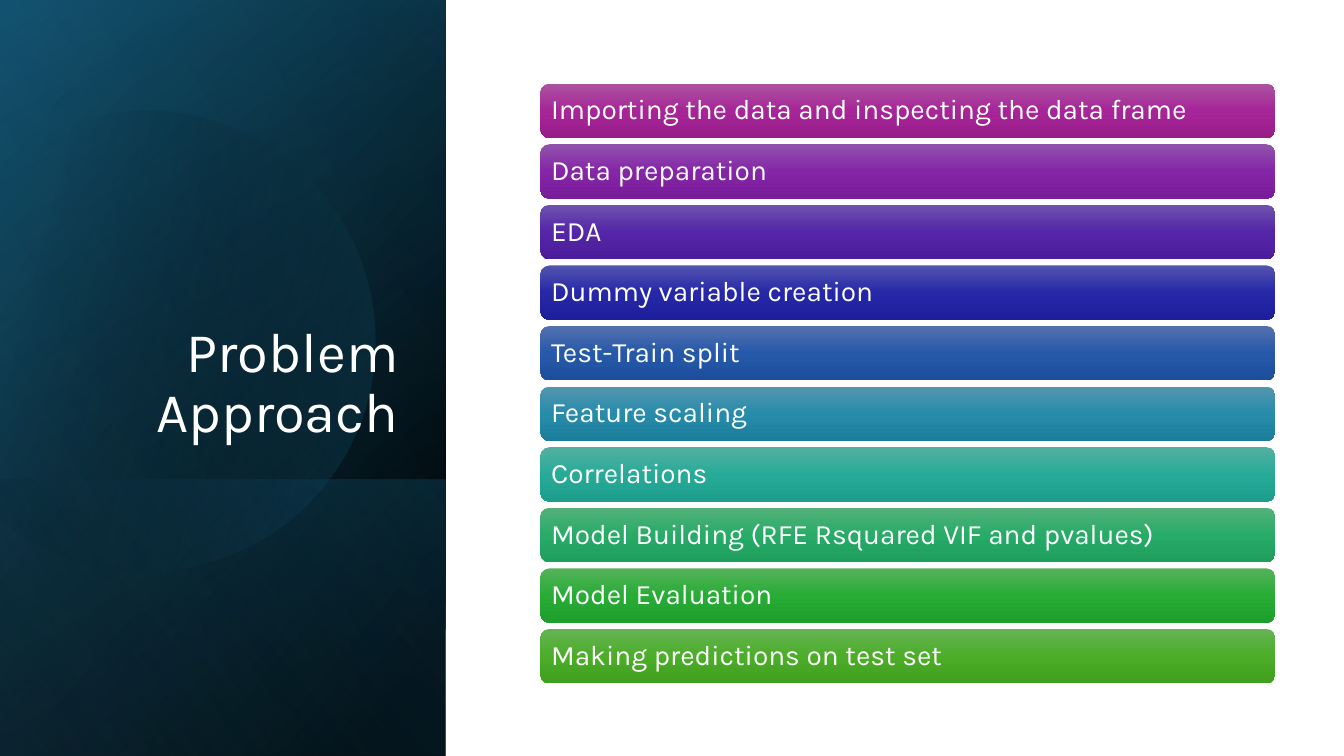
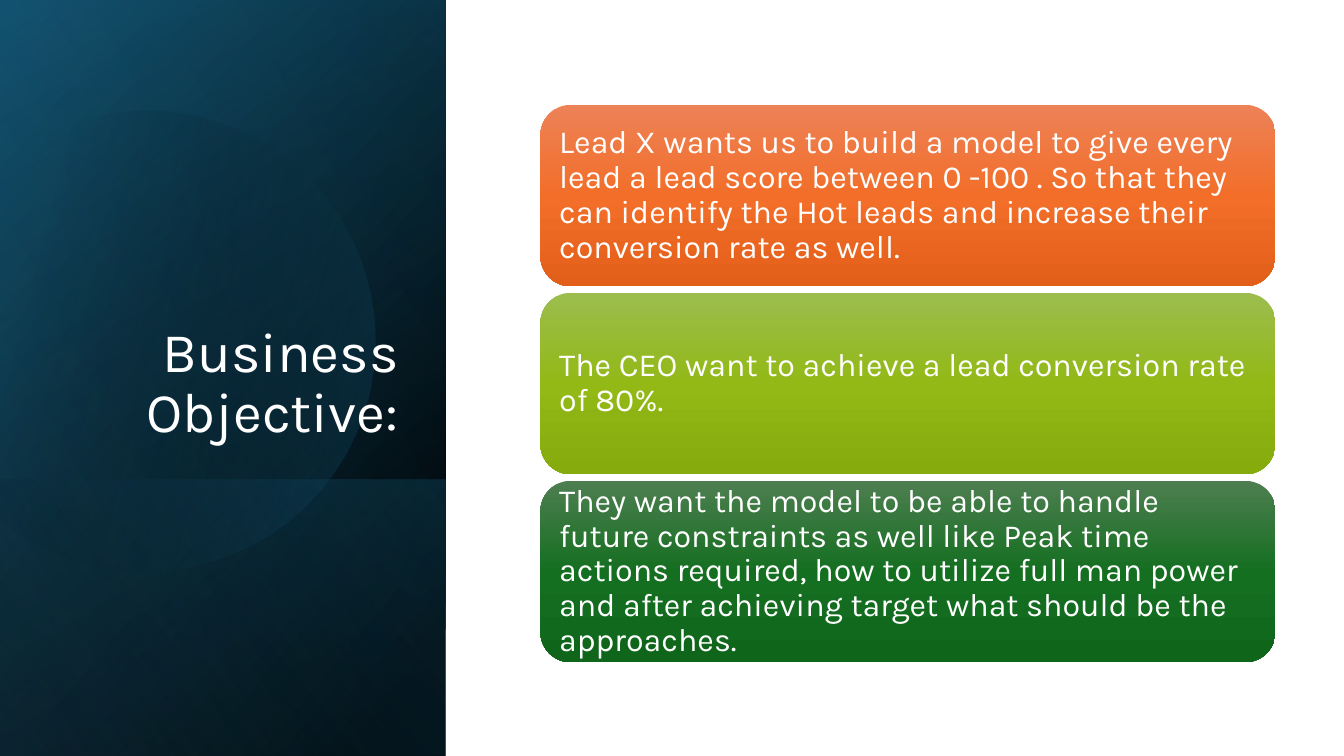
import math

from pptx import Presentation
from pptx import util as u
from pptx.dml.color import RGBColor
from pptx.enum import shapes, text
from pptx.oxml import ns, parse_xml

FONT = "Karla"
WHITE = "FFFFFF"

# Side panel layers: box, gradient stops (position, colour, opacity), angle
PANEL = (-1.54, 1.54, 7.5, 4.42)
LOWER_PANEL = (0.84, 3.92, 2.74, 4.42)
BACK_LAYERS = [
    (PANEL, [(8, "000000", 100), (100, "104862", 100)], 50),
    (PANEL, [(0, "000000", 0), (99, "156082", 46)], 30),
    (LOWER_PANEL, [(2, "156082", 29), (100, "000000", 30)], 130),
]
FRONT_LAYER = (PANEL, [(0, "000000", 0), (99, "46B1E1", 11)], 120)

# Cut disc as Bezier segments; a straight edge has a single end point
DISC_START = (1.49, 1.1)
DISC_SEGMENTS = [
    [(2.46, 1.12), (3.35, 1.77), (3.63, 2.75)],
    [(3.98, 3.97), (3.28, 5.23), (2.07, 5.58)],
    [(1.31, 5.8), (0.53, 5.61), (-0.03, 5.14)],
    [(-0.15, 5.03)],
    [(-0.15, 1.75)],
    [(0, 1.61)],
    [(0.23, 1.42), (0.5, 1.28), (0.8, 1.19)],
    [(1.03, 1.13), (1.26, 1.1), (1.49, 1.1)],
]
DISC_CENTER = (1.59, 3.35)
DISC_ROTATION = 343.9
DISC_STOPS = [(29, "000000", 0), (100, "156082", 43)]

# Cards: text, then top, middle and bottom colours
APPROACH_STEPS = [
    ("Importing the data and inspecting the data frame", "AC53A0", "A62598", "991C8B"),
    ("Data preparation", "9153AD", "8525A7", "781C99"),
    ("EDA", "6D53AE", "5526A7", "4A1C9A"),
    ("Dummy variable creation", "5354AE", "2628A8", "1D1E9B"),
    ("Test-Train split", "5370AF", "2659A9", "1D4E9C"),
    ("Feature scaling", "5396B0", "278BAA", "1D7E9C"),
    ("Correlations", "53B0A1", "27AB98", "1D9D8B"),
    ("Model Building (RFE Rsquared VIF and pvalues)", "54B17A", "27AB67", "1E9E5C"),
    ("Model Evaluation", "54B25A", "28AC36", "1E9E2C"),
    ("Making predictions on test set", "66B354", "4BAD28", "409F1E"),
]
OBJECTIVES = [
    ("Lead X wants us to build a model to give every lead a lead score between "
     "0 -100 . So that they can identify the Hot leads and increase their "
     "conversion rate as well.", "ED8257", "F26E29", "E25F1A"),
    ("The CEO want to achieve a lead conversion rate of 80%.",
     "9CBD4E", "92B916", "85AB0D"),
    ("They want the model to be able to handle future constraints as well like "
     "Peak time actions required, how to utilize full man power and after "
     "achieving target what should be the approaches.",
     "4D7E50", "156F21", "0F661B"),
]


def color(hex_value):
    return RGBColor.from_string(hex_value)


def set_all(target, values):
    for name, value in values.items():
        setattr(target, name, value)


def bezier(start, segment, steps=16):
    """Points along one segment, without its start."""
    if len(segment) == 1:
        return segment
    controls = [start, *segment]
    return [
        tuple(
            sum(math.comb(3, i) * (1 - t) ** (3 - i) * t ** i * point[axis]
                for i, point in enumerate(controls))
            for axis in (0, 1)
        )
        for t in (step / steps for step in range(1, steps + 1))
    ]


def rotate(point, center, degrees):
    cos, sin = math.cos(math.radians(degrees)), math.sin(math.radians(degrees))
    x, y = point[0] - center[0], point[1] - center[1]
    return center[0] + x * cos - y * sin, center[1] + x * sin + y * cos


class Deck:
    def __init__(self):
        self.presentation = Presentation()
        set_all(self.presentation, {"slide_width": u.Inches(13.33),
                                    "slide_height": u.Inches(7.5)})
        self.slide = None

    def new_slide(self, title):
        self.slide = self.presentation.slides.add_slide(
            self.presentation.slide_layouts[6])
        background = self.slide.background.fill
        background.solid()
        background.fore_color.rgb = color(WHITE)
        for layer in BACK_LAYERS:
            self.panel_layer(*layer)
        self.disc()
        self.panel_layer(*FRONT_LAYER)
        self.title(title)

    def paint(self, shape, stops, angle):
        """Gradient with opacity, no line and no shadow."""
        shape.shadow.inherit = False
        shape.line.fill.background()
        shape.fill.gradient()
        stop_xml = "".join(
            f'<a:gs pos="{position * 1000}"><a:srgbClr val="{color(hex_value)}">'
            f'<a:alpha val="{opacity * 1000}"/></a:srgbClr></a:gs>'
            for position, hex_value, opacity in stops)
        gradient = parse_xml(
            f'<a:gradFill {ns.nsdecls("a")} rotWithShape="1">'
            f'<a:gsLst>{stop_xml}</a:gsLst>'
            f'<a:lin ang="{angle * 60000}" scaled="0"/></a:gradFill>')
        properties = shape.element.spPr
        properties.replace(properties.find(ns.qn("a:gradFill")), gradient)

    def panel_layer(self, box, stops, angle):
        shape = self.slide.shapes.add_shape(
            shapes.MSO_SHAPE.RECTANGLE, *map(u.Inches, box))
        shape.rotation = 90
        shape.element.spPr.find(ns.qn("a:xfrm")).set("flipH", "1")
        self.paint(shape, stops, angle)

    def disc(self):
        points = [DISC_START]
        for segment in DISC_SEGMENTS:
            points += bezier(points[-1], segment)
        # Undo the rotation that the shape itself carries
        upright = [tuple(map(u.Inches, rotate(point, DISC_CENTER, -DISC_ROTATION)))
                   for point in points]
        builder = self.slide.shapes.build_freeform(*upright[0])
        builder.add_line_segments(upright[1:], close=True)
        shape = builder.convert_to_shape()
        shape.rotation = DISC_ROTATION
        self.paint(shape, DISC_STOPS, 30)

    def label(self, shape, content, size, align, anchor, inset=None):
        frame = shape.text_frame
        set_all(frame, {"word_wrap": True, "vertical_anchor": anchor})
        if inset is not None:
            set_all(frame, {f"margin_{side}": u.Inches(inset)
                            for side in ("left", "top", "right", "bottom")})
        paragraph = frame.paragraphs[0]
        set_all(paragraph, {"alignment": align, "line_spacing": 0.9})
        run = paragraph.add_run()
        run.text = content
        set_all(run.font, {"name": FONT, "size": u.Pt(size)})
        run.font.color.rgb = color(WHITE)

    def title(self, content):
        box = self.slide.shapes.add_textbox(*map(u.Inches, (0.64, 1.84, 3.41, 2.62)))
        self.label(box, content, 40, text.PP_ALIGN.RIGHT, text.MSO_ANCHOR.BOTTOM)

    def card_stack(self, cards, top, bottom, height, size, inset):
        """Equal cards spread evenly from top to bottom."""
        pitch = (bottom - top - height) / (len(cards) - 1)
        for index, (content, *colors) in enumerate(cards):
            shape = self.slide.shapes.add_shape(
                shapes.MSO_SHAPE.ROUNDED_RECTANGLE,
                *map(u.Inches, (5.36, top + index * pitch, 7.29, height)))
            stops = [(position, hex_value, 100)
                     for position, hex_value in zip((0, 50, 100), colors)]
            self.paint(shape, stops, 90)
            self.label(shape, content, size, text.PP_ALIGN.LEFT,
                       text.MSO_ANCHOR.MIDDLE, inset)


def main():
    deck = Deck()

    # Problem approach
    deck.new_slide("Problem Approach")
    deck.card_stack(APPROACH_STEPS, top=0.83, bottom=6.78, height=0.54,
                    size=20, inset=0.08)

    # Business objective
    deck.new_slide("Business Objective:")
    deck.card_stack(OBJECTIVES, top=1.04, bottom=6.57, height=1.8,
                    size=23, inset=0.1)

    deck.presentation.save("out.pptx")


if __name__ == "__main__":
    main()
